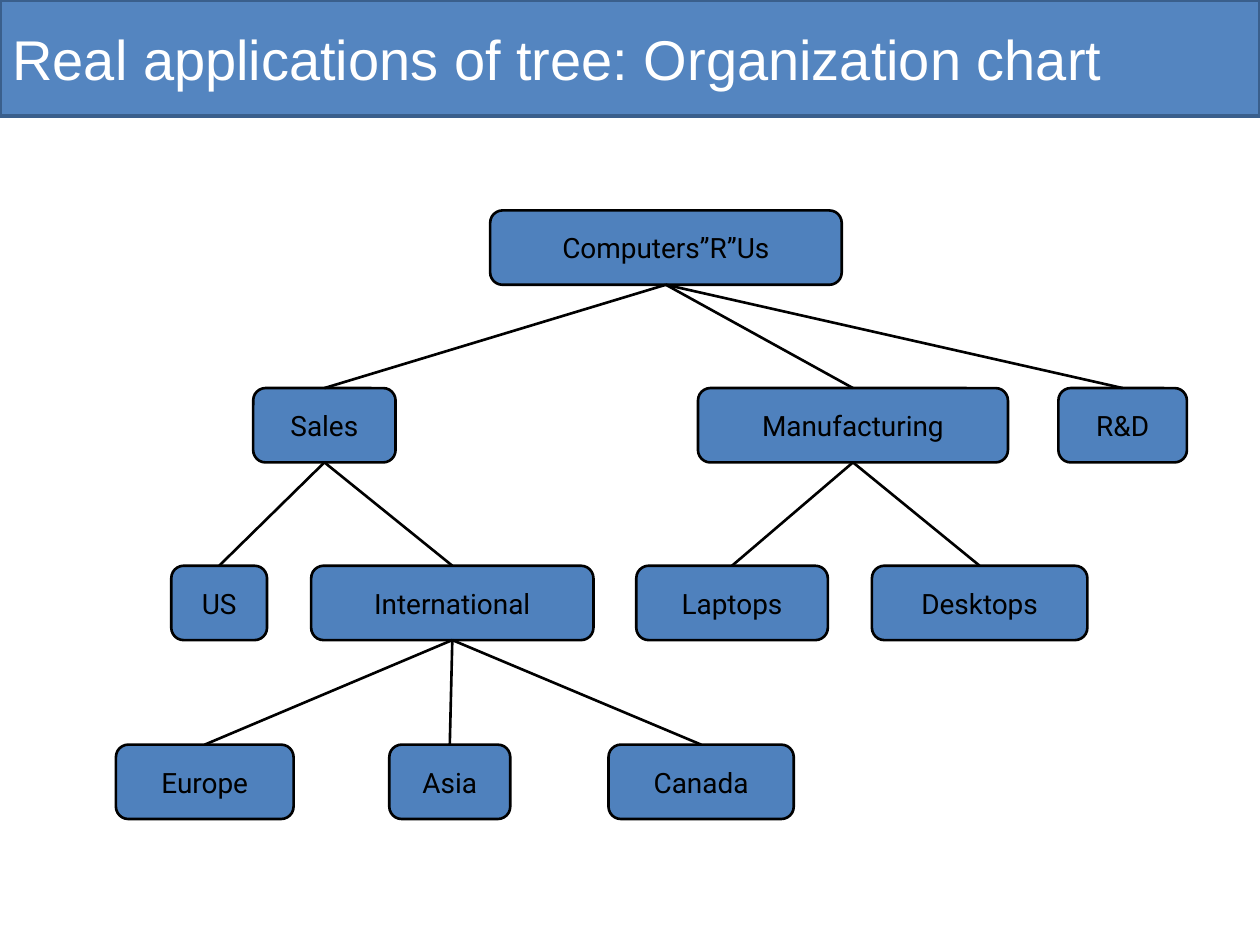
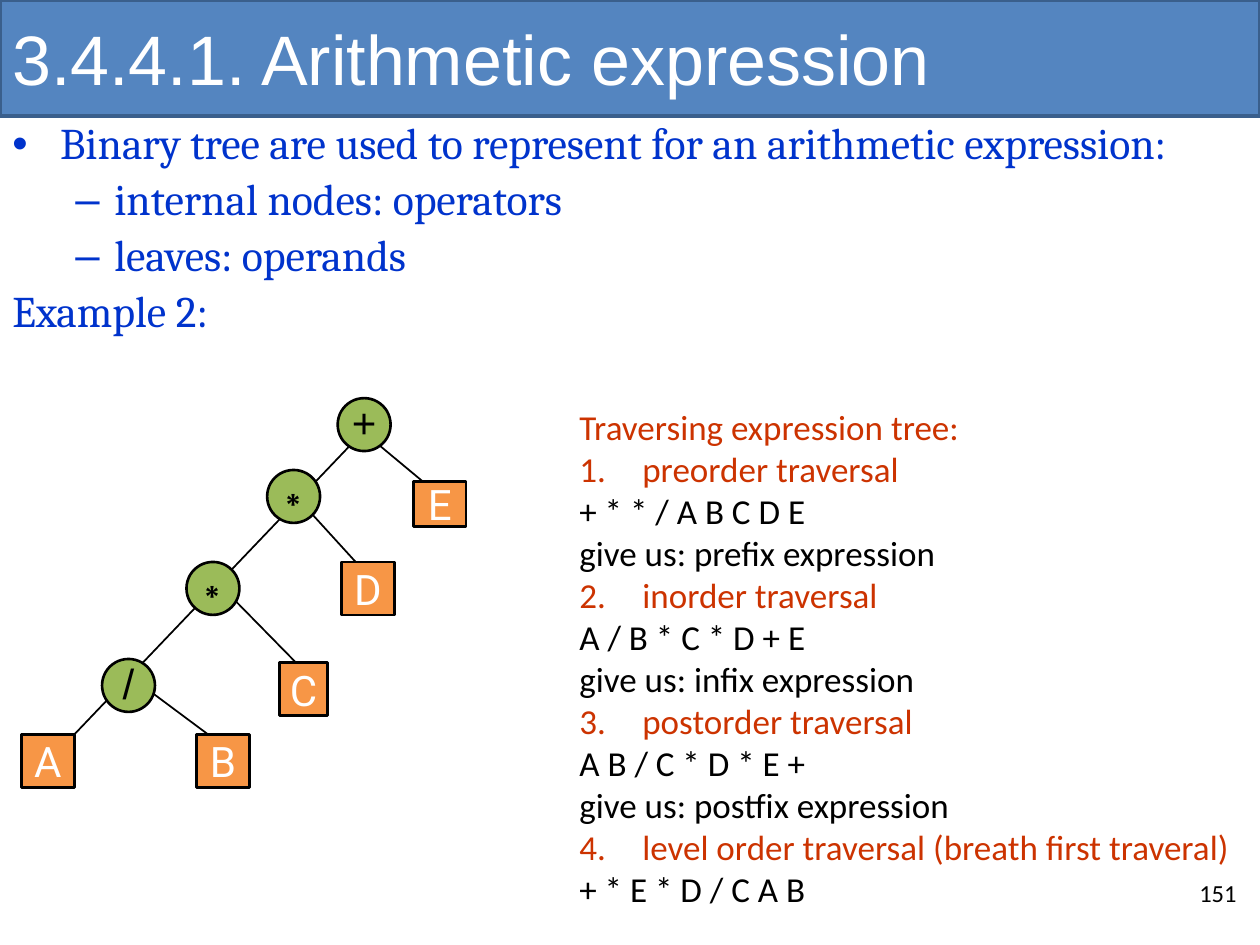
"""Build two slides on trees: an organization chart and an expression tree."""
from dataclasses import dataclass
from typing import NamedTuple, Optional

from lxml.etree import SubElement
from pptx import Presentation
from pptx.dml.color import RGBColor
from pptx.enum.shapes import MSO_CONNECTOR, MSO_SHAPE
from pptx.enum.text import MSO_ANCHOR, MSO_AUTO_SIZE, PP_ALIGN
from pptx.oxml.ns import qn
from pptx.shapes.autoshape import Shape
from pptx.shapes.connector import Connector
from pptx.slide import Slide
from pptx.text.text import TextFrame
from pptx.util import Emu, Pt

SCALE = 9144


@dataclass(frozen=True)
class Theme:
    band: str = "5485C0"
    edge: str = "3A5F8C"
    unit: str = "4F81BD"
    leaf: str = "F79646"
    node: str = "9BBB59"
    blue: str = "0033CC"
    red: str = "CC3300"
    black: str = "000000"
    white: str = "FFFFFF"
    head: str = "Arial"
    serif: str = "Cambria"
    plain: str = "Calibri"
    label: str = "Roboto"
    unit_size: int = 16
    body_size: int = 25
    note_size: int = 20
    mark_size: int = 24
    page_size: int = 14


THEME = Theme()


class Box(NamedTuple):
    left: int
    top: int
    width: int
    height: int


class Look(NamedTuple):
    kind: MSO_SHAPE
    fill: str
    line: str
    weight: float
    font: str
    ink: str


class Unit(NamedTuple):
    name: str
    boss: Optional[str]
    row: int
    left: int
    width: int


class Item(NamedTuple):
    text: str
    ink: str
    mark: str = ""
    left: int = 0
    hang: int = 0
    level: int = 0


class Node(NamedTuple):
    text: str
    left: int
    top: int
    width: int = 42
    height: int = 42


class Edge(NamedTuple):
    x1: int
    y1: int
    x2: int
    y2: int


BAND = Look(MSO_SHAPE.RECTANGLE, THEME.band, THEME.edge, 2, THEME.head, THEME.white)
UNIT = Look(MSO_SHAPE.ROUNDED_RECTANGLE, THEME.unit, THEME.black, 1.5, THEME.label, THEME.black)
LEAF = Look(MSO_SHAPE.RECTANGLE, THEME.leaf, THEME.black, 1.5, THEME.label, THEME.white)
NODE = Look(MSO_SHAPE.OVAL, THEME.node, THEME.black, 1.5, THEME.head, THEME.black)

ROWS = (167, 308, 449, 591)
UNITS = (
    Unit("Computers”R”Us", None, 0, 389, 279),
    Unit("Sales", "Computers”R”Us", 1, 201, 113),
    Unit("Manufacturing", "Computers”R”Us", 1, 554, 246),
    Unit("R&D", "Computers”R”Us", 1, 840, 102),
    Unit("US", "Sales", 2, 136, 76),
    Unit("International", "Sales", 2, 247, 224),
    Unit("Laptops", "Manufacturing", 2, 505, 152),
    Unit("Desktops", "Manufacturing", 2, 692, 171),
    Unit("Europe", "International", 3, 92, 141),
    Unit("Asia", "International", 3, 309, 96),
    Unit("Canada", "International", 3, 483, 147),
)

POINTS = (
    Item("Binary tree are used to represent for an arithmetic expression:",
         THEME.blue, "•", 38, 38),
    Item("internal nodes: operators", THEME.blue, "–", 81, 31, 1),
    Item("leaves: operands", THEME.blue, "–", 81, 31, 1),
    Item("Example 2:", THEME.blue),
)

WALKS = (
    ("preorder traversal", "+ * * / A B C D E", "give us: prefix expression"),
    ("inorder traversal", "A / B * C * D + E", "give us: infix expression"),
    ("postorder traversal", "A B / C * D * E +", "give us: postfix expression"),
    ("level order traversal (breath first traveral)", "+ * E * D / C A B"),
)

EDGES = (
    Edge(287, 344, 57, 585),
    Edge(297, 350, 345, 390),
    Edge(244, 404, 285, 449),
    Edge(185, 475, 236, 527),
    Edge(121, 550, 168, 585),
)
LEAVES = (
    Node("A", 17, 583),
    Node("B", 156, 583),
    Node("C", 222, 526, 38),
    Node("D", 271, 446),
    Node("E", 328, 382, 42, 36),
)
NODES = (
    Node("∗", 148, 446),
    Node("/", 81, 523),
    Node("∗", 212, 373),
    Node("+", 268, 316),
)


def px(length: int) -> Emu:
    return Emu(length * SCALE)


def tint(code: str) -> RGBColor:
    return RGBColor.from_string(code)


def ink_runs(frame: TextFrame, font: str, size: int, ink: str) -> None:
    for para in frame.paragraphs:
        for run in para.runs:
            run.font.name = font
            run.font.size = Pt(size)
            run.font.color.rgb = tint(ink)


def add_block(slide: Slide, look: Look, box: Box, text: str, size: int) -> Shape:
    shape = slide.shapes.add_shape(look.kind, *map(px, box))
    shape.shadow.inherit = False
    shape.fill.solid()
    shape.fill.fore_color.rgb = tint(look.fill)
    shape.line.color.rgb = tint(look.line)
    shape.line.width = Pt(look.weight)
    frame = shape.text_frame
    frame.text = text
    frame.word_wrap = False
    frame.auto_size = MSO_AUTO_SIZE.NONE
    frame.vertical_anchor = MSO_ANCHOR.MIDDLE
    frame.paragraphs[0].alignment = PP_ALIGN.CENTER
    ink_runs(frame, look.font, size, look.ink)
    return shape


def add_edge(slide: Slide, edge: Edge, weight: float) -> Connector:
    line = slide.shapes.add_connector(MSO_CONNECTOR.STRAIGHT, *map(px, edge))
    line.line.color.rgb = tint(THEME.black)
    line.line.width = Pt(weight)
    SubElement(line._element.spPr, qn("a:effectLst"))
    return line


def add_title(slide: Slide, text: str, size: int) -> None:
    band = add_block(slide, BAND, Box(0, 0, 1000, 92), text, size)
    band.text_frame.word_wrap = True
    band.text_frame.paragraphs[0].alignment = PP_ALIGN.LEFT


def add_list(slide: Slide, box: Box, items: tuple[Item, ...], font: str, size: int,
             pitch: float = 1.0, gap: int = 0) -> None:
    frame = slide.shapes.add_textbox(*map(px, box)).text_frame
    frame.word_wrap = True
    frame.text = "\n".join(item.text for item in items)
    for place, (para, item) in enumerate(zip(frame.paragraphs, items)):
        props = para._p.get_or_add_pPr()
        if item.mark:
            props.set("marL", str(px(item.left)))
            props.set("indent", str(px(-item.hang)))
        if item.mark.isdigit():
            SubElement(props, qn("a:buAutoNum"), type="arabicPeriod", startAt=item.mark)
        elif item.mark:
            SubElement(props, qn("a:buFont"), typeface=THEME.head)
            SubElement(props, qn("a:buChar"), char=item.mark)
        para.level = item.level
        para.line_spacing = pitch
        para.space_before = Pt(gap if place else 0)
        for run in para.runs:
            run.font.name = font
            run.font.size = Pt(size)
            run.font.color.rgb = tint(item.ink)


def draw_chart(slide: Slide) -> None:
    add_title(slide, "Real applications of tree: Organization chart", 32)
    blocks: dict[str, Shape] = {}
    for unit in UNITS:
        box = Box(unit.left, ROWS[unit.row], unit.width, 59)
        block = add_block(slide, UNIT, box, unit.name, THEME.unit_size)
        blocks[unit.name] = block
        if unit.boss:
            line = add_edge(slide, Edge(0, 0, 0, 0), 1.5)
            line.begin_connect(blocks[unit.boss], 2)
            line.end_connect(block, 0)


def draw_tree(slide: Slide) -> None:
    for edge in EDGES:
        add_edge(slide, edge, 1)
    for look, group in ((LEAF, LEAVES), (NODE, NODES)):
        for text, *box in group:
            block = add_block(slide, look, Box(*box), text, THEME.mark_size)
            if look is NODE:
                frame = block.text_frame
                frame.margin_left = frame.margin_right = frame.margin_top = 0
                frame.margin_bottom = px(5)


def draw_maths(slide: Slide) -> None:
    add_title(slide, "3.4.4.1. Arithmetic expression", 40)
    add_list(slide, Box(0, 92, 1000, 197), POINTS, THEME.serif, THEME.body_size, 0.9, 5)
    page = (Item("151", THEME.black),)
    add_list(slide, Box(942, 692, 50, 40), page, THEME.plain, THEME.page_size)
    notes = [Item("Traversing expression tree:", THEME.red)]
    for count, (name, *lines) in enumerate(WALKS, 1):
        notes.append(Item(name, THEME.red, str(count), 50, 50))
        notes.extend(Item(line, THEME.black) for line in lines)
    add_list(slide, Box(450, 317, 544, 421), tuple(notes), THEME.plain, THEME.note_size)
    draw_tree(slide)


def main() -> None:
    deck = Presentation()
    deck.slide_width, deck.slide_height = px(1000), px(750)
    for draw in (draw_chart, draw_maths):
        draw(deck.slides.add_slide(deck.slide_layouts[6]))
    deck.save("out.pptx")


if __name__ == "__main__":
    main()
